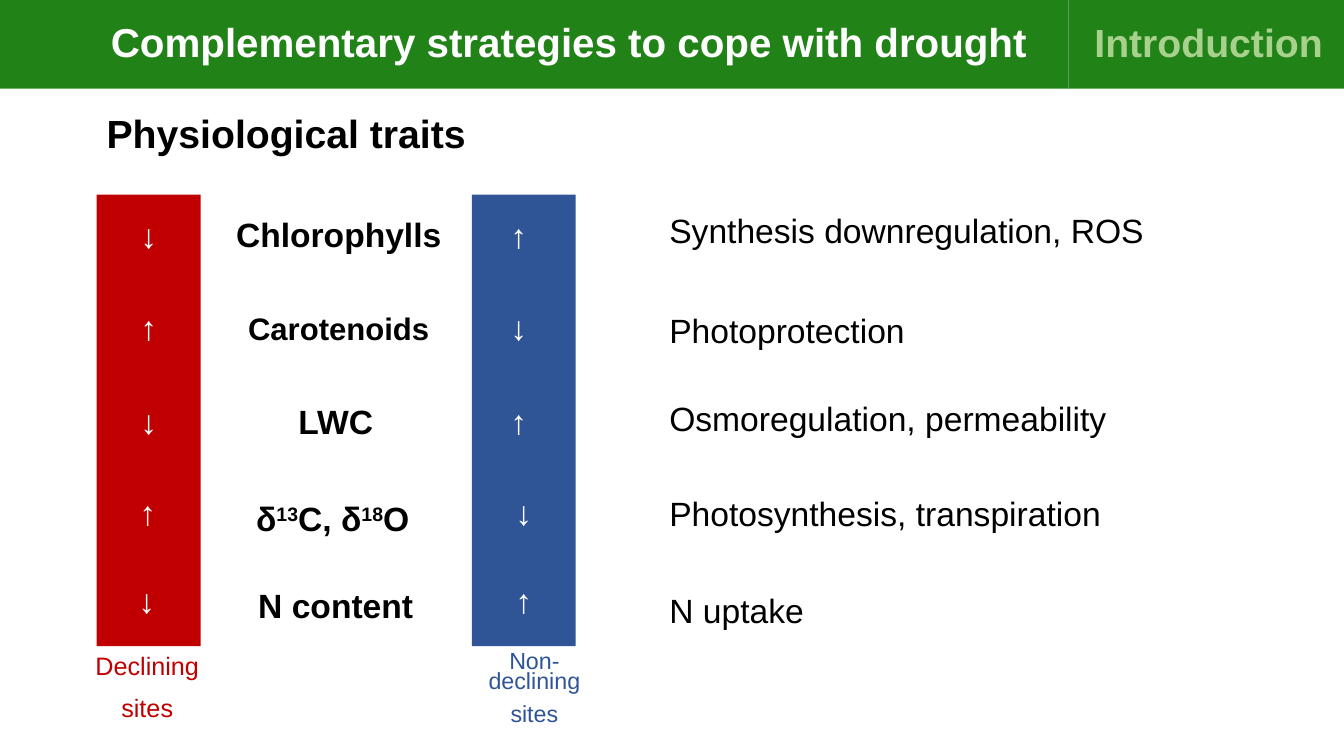
from pptx import Presentation
from pptx.dml.color import RGBColor
from pptx.enum.shapes import MSO_SHAPE
from pptx.enum.text import MSO_ANCHOR, PP_ALIGN
from pptx.util import Inches, Pt

GREEN = RGBColor(0x21, 0x83, 0x17)
LIGHT_GREEN = RGBColor(0xA9, 0xD1, 0x8E)
RED = RGBColor(0xC0, 0x00, 0x00)
BLUE = RGBColor(0x2F, 0x55, 0x97)
WHITE = RGBColor(0xFF, 0xFF, 0xFF)
BLACK = RGBColor(0x00, 0x00, 0x00)

ARROW_TOPS = [2.16, 3.07, 4.01, 4.91, 5.78]
TRAITS = [
    (3.36, 2.15, ["Chlorophylls"], 24),
    (3.36, 3.09, ["Carotenoids"], 22.2),
    (3.33, 4.01, ["LWC"], 24),
    (3.30, 4.97, ["δ", "13", "C, δ", "18", "O"], 24),
    (3.33, 5.83, ["N content"], 24),
]
ROLES = [
    (2.11, "Synthesis downregulation, ROS"),
    (3.10, "Photoprotection"),
    (3.98, "Osmoregulation, permeability"),
    (4.92, "Photosynthesis, transpiration"),
    (5.88, "N uptake"),
]


def add_rect(slide, x, y, w, h, fill):
    """Add a plain filled rectangle without outline or shadow."""
    sp = slide.shapes.add_shape(
        MSO_SHAPE.RECTANGLE, Inches(x), Inches(y), Inches(w), Inches(h))
    sp.shadow.inherit = False
    sp.fill.solid()
    sp.fill.fore_color.rgb = fill
    sp.line.fill.background()
    return sp


def write(sp, paragraphs, size, color, bold=False, align=PP_ALIGN.LEFT, spacing=0.9):
    """Fill a shape with paragraphs of runs; every second run is superscript."""
    tf = sp.text_frame
    tf.word_wrap = True
    for i, runs in enumerate(paragraphs):
        p = tf.add_paragraph() if i else tf.paragraphs[0]
        p.alignment = align
        p.line_spacing = spacing
        if i:
            p.space_before = Pt(10)
        for j, text in enumerate(runs):
            r = p.add_run()
            r.text = text
            r.font.name = "Arial"
            r.font.size = Pt(size)
            r.font.bold = bold
            r.font.color.rgb = color
            if j % 2:
                r.font._element.set("baseline", "30000")


def add_text(slide, x, y, w, h, paragraphs, size, color, **style):
    """Add a text box at the given place."""
    sp = slide.shapes.add_textbox(Inches(x), Inches(y), Inches(w), Inches(h))
    write(sp, paragraphs, size, color, **style)


def add_header(slide, x, w, text, size, color, align, left=0.1, right=0.1):
    """Add one green part of the header band."""
    sp = add_rect(slide, x, 0, w, 0.88, GREEN)
    tf = sp.text_frame
    tf.margin_left, tf.margin_right = Inches(left), Inches(right)
    tf.vertical_anchor = MSO_ANCHOR.MIDDLE
    write(sp, [[text]], size, color, bold=True, align=align)


def add_site_column(slide, x, fill, arrows, shifts):
    """Add a coloured bar with its column of white arrows."""
    add_rect(slide, x, 1.93, 1.03, 4.48, fill)
    for top, arrow, shift in zip(ARROW_TOPS, arrows, shifts):
        add_text(slide, x + shift, top, 1.03, 0.44, [[arrow]], 24, WHITE,
                 bold=True, align=PP_ALIGN.CENTER, spacing=0.8)


def add_site_name(slide, x, words, size, color, spacing):
    """Add the two-paragraph caption below a bar."""
    add_text(slide, x, 6.44, 1.38, 0.88, [[word] for word in words], size, color,
             align=PP_ALIGN.CENTER, spacing=spacing)


def add_traits(slide, w):
    """Add the trait names, each centred on its own axis."""
    for centre, top, runs, size in TRAITS:
        add_text(slide, centre - w / 2, top, w, 0.44, [runs], size, BLACK,
                 bold=True, align=PP_ALIGN.CENTER, spacing=0.8)


def add_roles(slide, x, w):
    """Add the explanation beside each trait."""
    for top, role in ROLES:
        add_text(slide, x, top, w, 0.44, [[role]], 24, BLACK, spacing=0.8)


def main():
    """Build and save the presentation."""
    prs = Presentation()
    prs.slide_width, prs.slide_height = Inches(13.33), Inches(7.5)
    slide = prs.slides.add_slide(prs.slide_layouts[6])
    add_header(slide, 0, 10.6, "Complementary strategies to cope with drought",
               28.8, WHITE, PP_ALIGN.LEFT, left=1.1)
    add_header(slide, 10.6, 2.73, "Introduction", 28, LIGHT_GREEN,
               PP_ALIGN.RIGHT, right=0.21)
    add_text(slide, 0.96, 1.09, 11.74, 0.63, [["Physiological traits"]], 28,
             BLACK, bold=True)
    add_site_column(slide, 0.96, RED, "↓↑↓↑↓", [0, 0, 0, -0.01, -0.02])
    add_site_column(slide, 4.68, BLUE, "↑↓↑↓↑", [-0.05, -0.05, -0.05, 0, 0])
    add_traits(slide, 2.26)
    add_roles(slide, 6.54, 5.83)
    add_site_name(slide, 0.77, ["Declining", "sites"], 18, RED, 0.9)
    add_site_name(slide, 4.61, ["Non-declining", "sites"], 16.6, BLUE, 0.7)
    prs.save("out.pptx")


if __name__ == "__main__":
    main()
